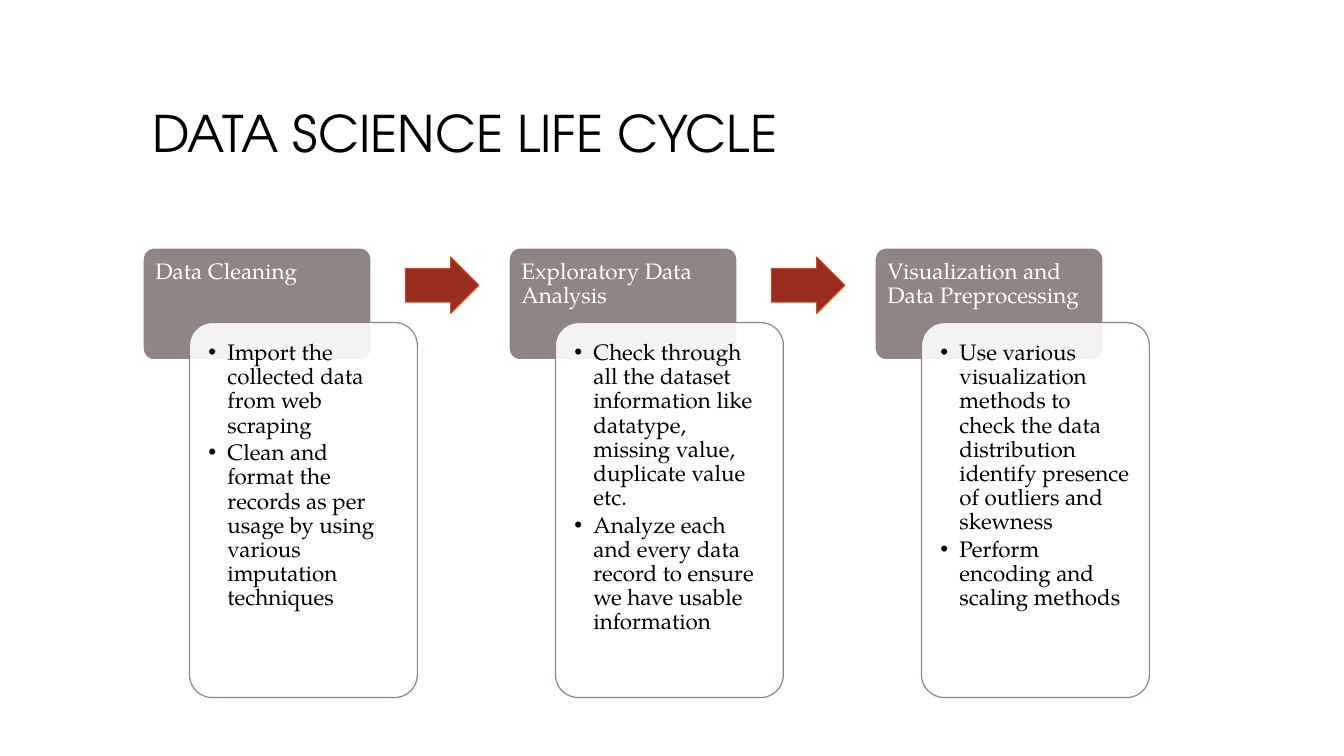
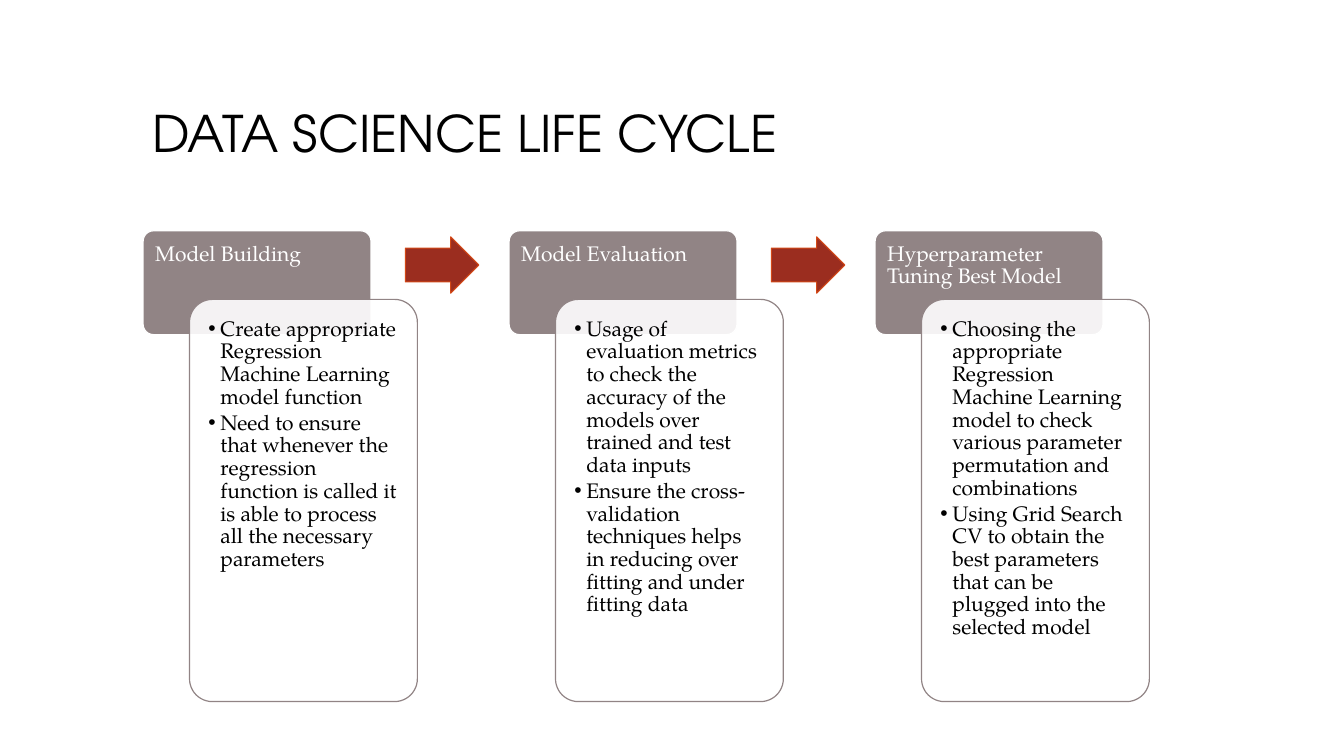
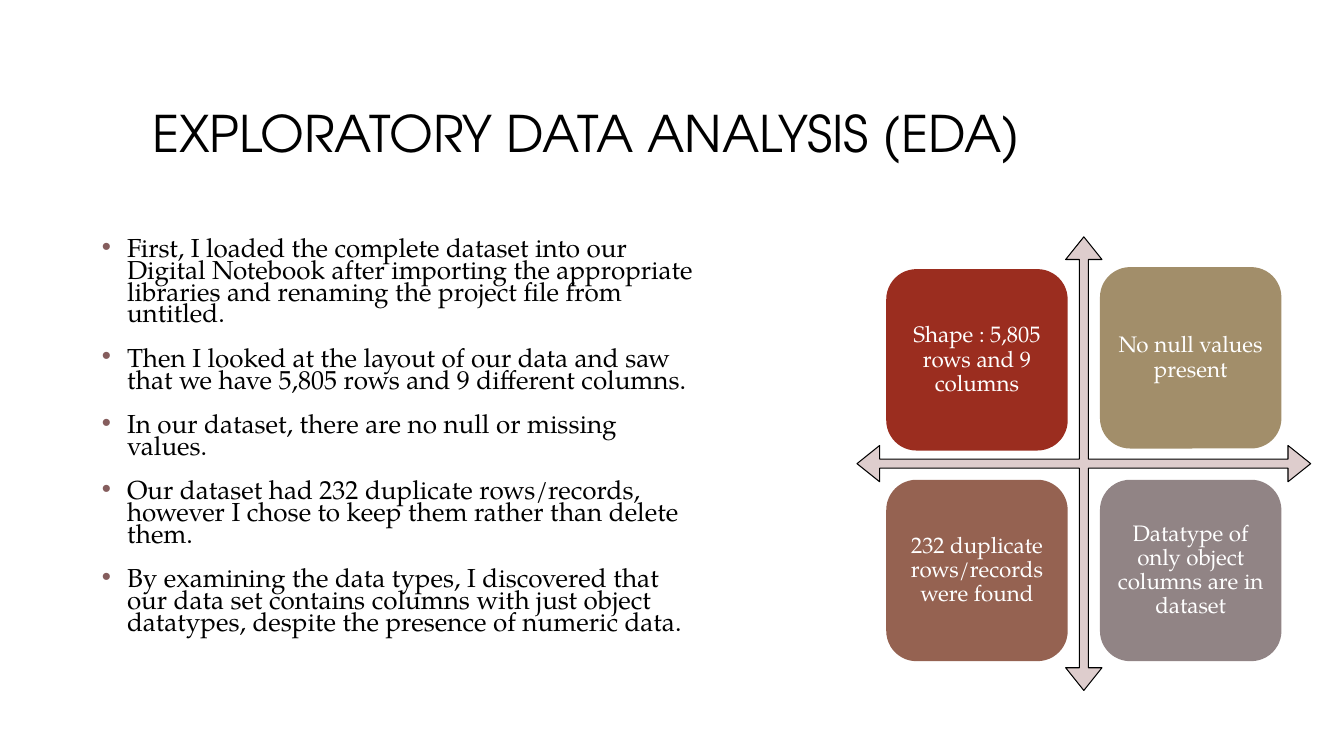
from lxml import etree
from pptx import Presentation
from pptx.dml.color import RGBColor
from pptx.enum.shapes import MSO_SHAPE as Preset
from pptx.enum.text import MSO_ANCHOR as Anchor, MSO_AUTO_SIZE as AutoSize, PP_ALIGN as Align
from pptx.oxml.ns import qn
from pptx.util import Inches, Pt

COLORS = {
    "black": "000000", "white": "FFFFFF", "taupe": "918485", "red": "9B2D1F",
    "orange": "D34817", "sand": "A28E6A", "brown": "956251", "pink": "DECDCD",
    "bullet": "855D5D",
}
TITLE_FONT, BODY_FONT = "TeX Gyre Adventor", "TeX Gyre Pagella"


def write(shape, texts, size=16, font=BODY_FONT, color="black", align=Align.LEFT,
          anchor=Anchor.TOP, insets=(0.1, 0.05, 0.1, 0.05), line=0.9, before=0,
          after=0, indent=0, bullet=None):
    """Fill a shape with one paragraph per text; lengths are inches and points."""
    frame = shape.text_frame
    frame.word_wrap = True
    frame.auto_size = AutoSize.NONE
    frame.vertical_anchor = anchor
    frame.margin_left, frame.margin_top, frame.margin_right, frame.margin_bottom = map(Inches, insets)
    frame.text = "\n".join(texts)
    for paragraph in frame.paragraphs:
        paragraph.alignment = align
        paragraph.line_spacing = line
        paragraph.space_before, paragraph.space_after = Pt(before), Pt(after)
        paragraph.font.name, paragraph.font.size = font, Pt(size)
        paragraph.font.color.rgb = RGBColor.from_string(COLORS[color])
        if bullet:
            properties = paragraph._p.get_or_add_pPr()
            properties.set("marL", str(Inches(indent)))
            properties.set("indent", str(-Inches(indent)))
            bullet_color = etree.Element(qn("a:buClr"))
            etree.SubElement(bullet_color, qn("a:srgbClr"), val=COLORS[bullet])
            bullet_font = etree.Element(qn("a:buFont"), typeface="Arial")
            bullet_mark = etree.Element(qn("a:buChar"), char="•")
            for element in (bullet_color, bullet_font, bullet_mark):
                properties.insert_element_before(element, "a:tabLst", "a:defRPr", "a:extLst")


def add_box(slide, preset, place, fill, outline=None, weight=0.75, adjust=(), opacity=None):
    """Add a flat preset shape at (left, top, width, height) in inches."""
    shape = slide.shapes.add_shape(preset, *map(Inches, place))
    shape.shadow.inherit = False
    for index, value in enumerate(adjust):
        shape.adjustments[index] = value
    shape.fill.solid()
    shape.fill.fore_color.rgb = RGBColor.from_string(COLORS[fill])
    if opacity:
        fill_color = shape._element.spPr.find(qn("a:solidFill"))[0]
        etree.SubElement(fill_color, qn("a:alpha"), val=str(opacity * 1000))
    if outline:
        shape.line.color.rgb = RGBColor.from_string(COLORS[outline])
        shape.line.width = Pt(weight)
    else:
        shape.line.fill.background()
    return shape


presentation = Presentation()
presentation.slide_width, presentation.slide_height = Inches(13.33), Inches(7.5)

# Slides with their titles
TITLE_ONLY, TITLE_AND_BODY = 5, 1
slides = []
for title_text, layout in [
    ("DATA SCIENCE LIFE CYCLE", TITLE_ONLY),
    ("DATA SCIENCE LIFE CYCLE", TITLE_ONLY),
    ("EXPLORATORY DATA ANALYSIS (EDA)", TITLE_AND_BODY),
]:
    slide = presentation.slides.add_slide(presentation.slide_layouts[layout])
    title = slide.shapes.title
    title.left, title.top, title.width, title.height = map(Inches, (1.41, 0.42, 10.5, 1.25))
    write(title, [title_text], size=36, font=TITLE_FONT, anchor=Anchor.BOTTOM)
    slides.append(slide)

# Life cycle slides: three steps each, joined by block arrows
life_cycles = [
    {
        "size": 16, "indent": 0.19, "header": (2.46, 1.11), "card": (3.2, 3.72), "arrow_top": 2.55,
        "steps": [
            ("Data Cleaning", [
                "Import the collected data from web scraping",
                "Clean and format the records as per usage by using various imputation techniques"]),
            ("Exploratory Data Analysis", [
                "Check through all the dataset information like datatype, missing value, duplicate value etc.",
                "Analyze each and every data record to ensure we have usable information"]),
            ("Visualization and Data Preprocessing", [
                "Use various visualization methods to check the data distribution identify presence "
                "of outliers and skewness",
                "Perform encoding and scaling methods"]),
        ],
    },
    {
        "size": 15, "indent": 0.12, "header": (2.29, 1.03), "card": (2.97, 3.99), "arrow_top": 2.35,
        "steps": [
            ("Model Building", [
                "Create appropriate Regression Machine Learning model function",
                "Need to ensure that whenever the regression function is called it is able to process "
                "all the necessary parameters"]),
            ("Model Evaluation", [
                "Usage of evaluation metrics to check the accuracy of the models over trained and "
                "test data inputs",
                "Ensure the cross-validation techniques helps in reducing over fitting and under "
                "fitting data"]),
            ("Hyperparameter Tuning Best Model", [
                "Choosing the appropriate Regression Machine Learning model to check various parameter "
                "permutation and combinations",
                "Using Grid Search CV to obtain the best parameters that can be plugged into the "
                "selected model"]),
        ],
    },
]
STEP_LEFT, STEP_PITCH, STEP_WIDTH = 1.42, 3.63, 2.26
for slide, cycle in zip(slides, life_cycles):
    size = cycle["size"]
    header_top, header_height = cycle["header"]
    card_top, card_height = cycle["card"]
    for index, (heading, points) in enumerate(cycle["steps"]):
        left = STEP_LEFT + index * STEP_PITCH
        header = add_box(slide, Preset.ROUNDED_RECTANGLE, (left, header_top, STEP_WIDTH, header_height),
                         "taupe", "white", 0.85, adjust=[0.1])
        write(header, [heading], size=size, color="white", insets=(0.09, 0.09, 0.09, 0.06))
        card = add_box(slide, Preset.ROUNDED_RECTANGLE, (left + 0.46, card_top, STEP_WIDTH, card_height),
                       "white", "taupe", 0.85, adjust=[0.1], opacity=90)
        write(card, points, size=size, insets=[0.12] * 4, after=0.15 * size,
              indent=cycle["indent"], bullet="black")
        if index < len(cycle["steps"]) - 1:
            add_box(slide, Preset.RIGHT_ARROW, (left + 2.6, cycle["arrow_top"], 0.73, 0.56),
                    "red", "orange", adjust=[0.6, 0.5])

# Analysis slide: findings list
analysis = slides[2]
findings = analysis.placeholders[1]
findings.left, findings.top, findings.width, findings.height = map(Inches, (0.91, 2.33, 6.1, 4.54))
write(findings, [
    "First, I loaded the complete dataset into our Digital Notebook after importing the appropriate "
    "libraries and renaming the project file from untitled.",
    "Then I looked at the layout of our data and saw that we have 5,805 rows and 9 different columns.",
    "In our dataset, there are no null or missing values.",
    "Our dataset had 232 duplicate rows/records, however I chose to keep them rather than delete them.",
    "By examining the data types, I discovered that our data set contains columns with just object "
    "datatypes, despite the presence of numeric data.",
], size=18.6, line=0.7, before=16, indent=0.25, bullet="bullet")

# Analysis slide: four facts around a cross of arrows
add_box(analysis, Preset.QUAD_ARROW, (8.5, 2.35, 4.5, 4.5), "pink", "black", adjust=[0.02, 0.04, 0.05])
for left, top, fill, fact in [
    (8.79, 2.67, "red", "Shape : 5,805 rows and 9 columns"),
    (10.91, 2.65, "sand", "No null values present"),
    (8.79, 4.76, "brown", "232 duplicate rows/records were found"),
    (10.91, 4.76, "taupe", "Datatype of only object columns are in dataset"),
]:
    tile = add_box(analysis, Preset.ROUNDED_RECTANGLE, (left, top, 1.8, 1.8), fill)
    write(tile, [fact], color="white", align=Align.CENTER, anchor=Anchor.MIDDLE,
          insets=[0.07] * 4, after=5.6)

presentation.save("out.pptx")
